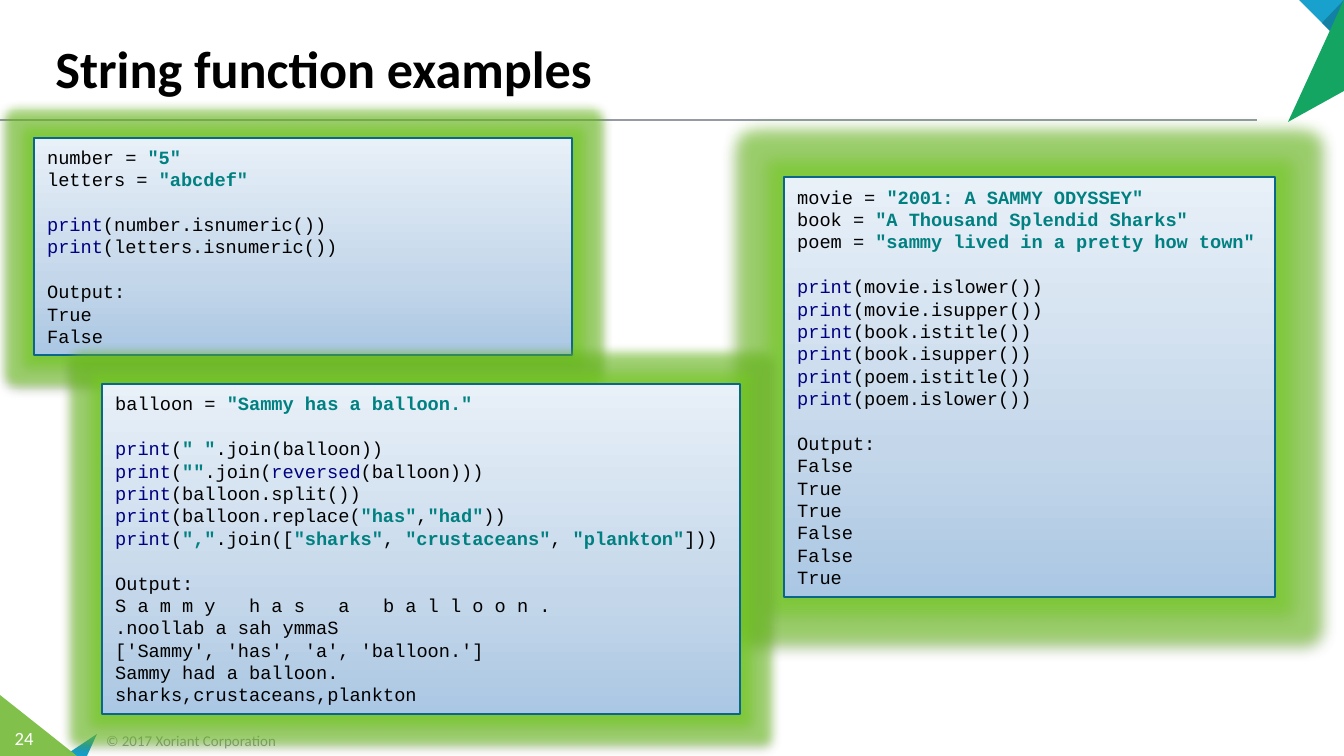
from pptx import Presentation
from pptx.dml.color import RGBColor
from pptx.enum.shapes import MSO_CONNECTOR as Conn, MSO_SHAPE as Kind
from pptx.enum.text import MSO_ANCHOR as Anchor, PP_ALIGN as Align
from pptx.oxml import parse_xml
from pptx.oxml.ns import nsdecls, qn
from pptx.util import Pt

PX = 914400 / 134.4
PITCH = 12  # height of a code line, points

TITLE = "String function examples"
WORDS = ("print", "reversed")  # built-in names, shown in navy

# Left, top, width, height, glow radius in px, then the code
BOXES = [
    ((34, 138, 538, 217), 20, '''number = "5"
letters = "abcdef"

print(number.isnumeric())
print(letters.isnumeric())

Output:
True
False'''),
    ((784, 177, 491, 420), 31, '''movie = "2001: A SAMMY ODYSSEY"
book = "A Thousand Splendid Sharks"
poem = "sammy lived in a pretty how town"

print(movie.islower())
print(movie.isupper())
print(book.istitle())
print(book.isupper())
print(poem.istitle())
print(poem.islower())

Output:
False
True
True
False
False
True'''),
    ((102, 384, 638, 330), 20, '''balloon = "Sammy has a balloon."

print(" ".join(balloon))
print("".join(reversed(balloon)))
print(balloon.split())
print(balloon.replace("has","had"))
print(",".join(["sharks", "crustaceans", "plankton"]))

Output:
S a m m y   h a s   a   b a l l o o n .
.noollab a sah ymmaS
['Sammy', 'has', 'a', 'balloon.']
Sammy had a balloon.
sharks,crustaceans,plankton'''),
]

# Corner triangles
CORNERS = [
    ("17A1CC", [(97, 734), (87, 756), (64, 756)]),
    ("81C14B", [(0, 695), (77, 756), (0, 756)]),
    ("17A1CC", [(1299, 0), (1344, 0), (1344, 45)]),
    ("1281A3", [(1322, 23), (1344, 0), (1344, 45)]),
    ("15A563", [(1288, 122), (1344, 0), (1344, 91)]),
]

# Place, text, size, colour, alignment, anchor, side inset
NOTES = [
    ((93, 724, 313, 32), "© 2017 Xoriant Corporation", 8, "959AA5",
     Align.LEFT, Anchor.MIDDLE, 13),
    ((0, 720, 48, 36), "24", 10, "FFFFFF", Align.CENTER, Anchor.TOP, 0),
]

GRAD = [(0, "AAC7E3"), (35, "C4D7EA"), (100, "E8F0F8")]


def px(n):
    return int(n * PX)


def rgb(text):
    return RGBColor.from_string(text)


def style(font, name, size, color, bold=False):
    font.name, font.size, font.bold = name, Pt(size), bold
    font.color.rgb = rgb(color)


def place(shape, spot):
    shape.left, shape.top, shape.width, shape.height = map(px, spot)


def tint(tag, attrs, color, alpha):
    return parse_xml(
        f'<a:{tag} {nsdecls("a")} {attrs}><a:srgbClr val="{color}">'
        f'<a:alpha val="{alpha * 1000}"/></a:srgbClr></a:{tag}>')


def tokens(line):
    """Split a code line into (text, colour) parts."""
    for i, part in enumerate(line.split('"')):
        if i % 2:
            yield f'"{part}"', "008080"
            continue
        for word in WORDS:
            part = part.replace(word, f"|{word}|")
        for bit in filter(None, part.split("|")):
            yield bit, "000080" if bit in WORDS else "000000"


def write(frame, code):
    gap, first = 0, True
    for line in code.split("\n"):
        if not line:
            gap = PITCH
            continue
        para = frame.paragraphs[0] if first else frame.add_paragraph()
        para.alignment = Align.LEFT
        para.line_spacing, para.space_before = Pt(PITCH), Pt(gap)
        para.font.name, para.font.size = "Courier New", Pt(10)
        for text, color in tokens(line):
            run = para.add_run()
            run.text = text
            run.font.color.rgb = rgb(color)
            run.font.bold = color == "008080"
        gap, first = 0, False


def add_code(shapes, spot, glow, code):
    box = shapes.add_shape(Kind.RECTANGLE, *map(px, spot))
    box.line.color.rgb = rgb("0B668C")
    box.line.width = Pt(0.75)
    box.shadow.inherit = False
    props = box.element.spPr
    stops = "".join(f'<a:gs pos="{at * 1000}"><a:srgbClr val="{color}"/></a:gs>'
                    for at, color in GRAD)
    props.insert(2, parse_xml(
        f'<a:gradFill {nsdecls("a")}><a:gsLst>{stops}</a:gsLst>'
        '<a:lin ang="16200000" scaled="0"/></a:gradFill>'))
    effects = props.find(qn("a:effectLst"))
    effects.append(tint("glow", f'rad="{px(glow)}"', "75D020", 55))
    effects.append(tint("outerShdw", f'blurRad="{Pt(3.1)}" dist="{Pt(1.6)}" '
                        'dir="5400000" rotWithShape="0"', "000000", 38))
    frame = box.text_frame
    frame.word_wrap = False
    frame.vertical_anchor = Anchor.MIDDLE
    write(frame, code)


deck = Presentation()
deck.slide_width, deck.slide_height = px(1344), px(756)
slide = deck.slides.add_slide(deck.slide_layouts[5])
shapes = slide.shapes

# Rule under the title
rule = shapes.add_connector(Conn.STRAIGHT, 0, px(120), px(1257), px(120))
rule.line.color.rgb = rgb("959AA5")
rule.line.width = Pt(1)
rule.element.spPr.append(parse_xml(f'<a:effectLst {nsdecls("a")}/>'))

# Corners
for color, points in CORNERS:
    path = shapes.build_freeform(*points[0], scale=PX)
    path.add_line_segments(points[1:])
    corner = path.convert_to_shape()
    corner.shadow.inherit = False
    corner.fill.solid()
    corner.fill.fore_color.rgb = rgb(color)
    corner.line.fill.background()

# Footer and page number
for spot, text, size, color, align, anchor, side in NOTES:
    frame = shapes.add_textbox(*map(px, spot)).text_frame
    frame.word_wrap = True
    frame.vertical_anchor = anchor
    frame.margin_left = frame.margin_right = px(side)
    para = frame.paragraphs[0]
    para.text, para.alignment = text, align
    style(para.font, "Calibri", size, color)

# Title
title = shapes.title
place(title, (42, 9, 1210, 97))
title.text_frame.vertical_anchor = Anchor.BOTTOM
para = title.text_frame.paragraphs[0]
para.text, para.alignment = TITLE, Align.LEFT
style(para.font, "Calibri", 28, "000000", True)

# Code boxes
for spot, glow, code in BOXES:
    add_code(shapes, spot, glow, code)

deck.save("out.pptx")
